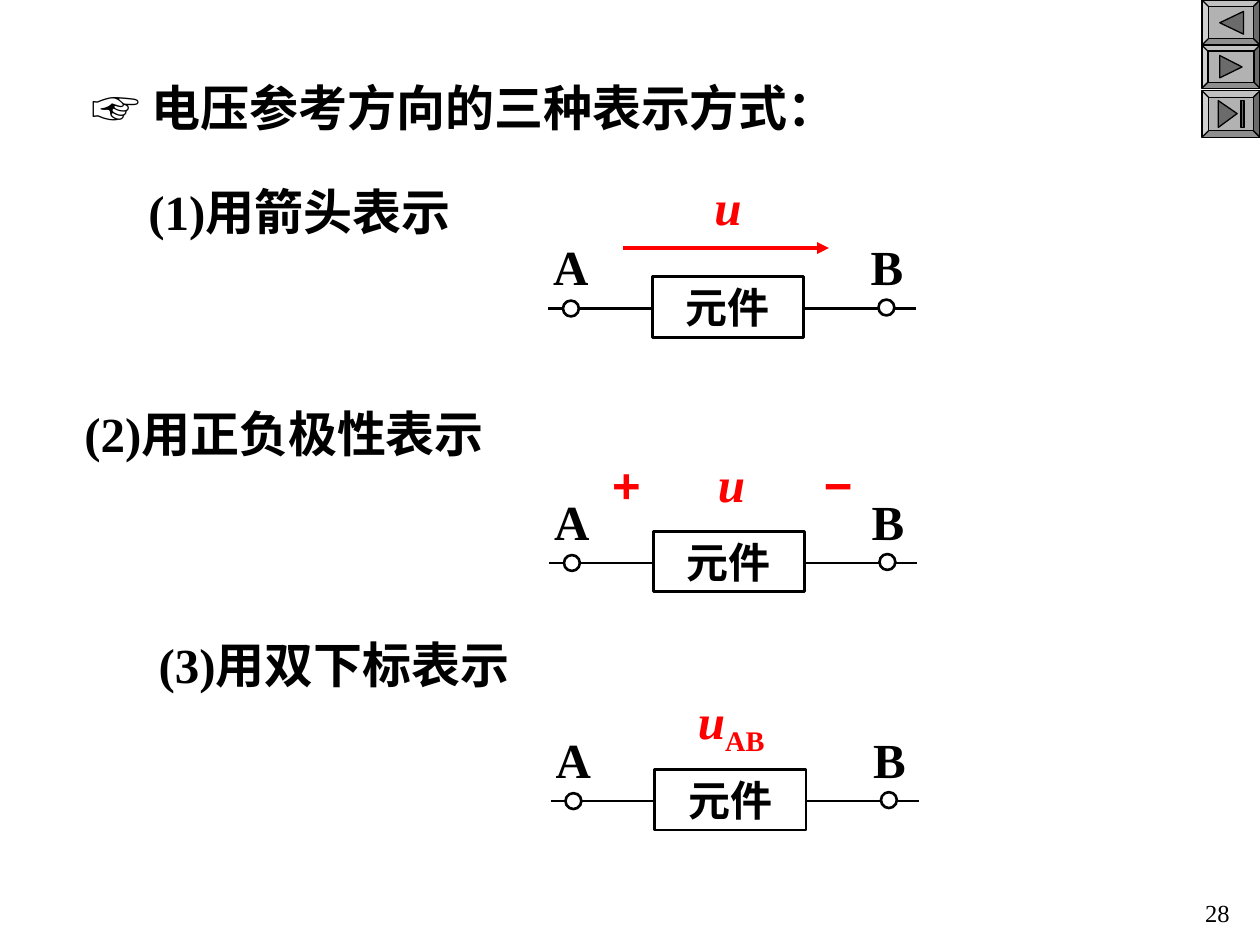
from pptx import Presentation
from pptx.dml.color import RGBColor
from pptx.enum.shapes import MSO_CONNECTOR, MSO_SHAPE as SHAPE
from pptx.enum.text import MSO_ANCHOR as ANCHOR, MSO_AUTO_SIZE, PP_ALIGN as ALIGN
from pptx.oxml.ns import qn
from pptx.util import Cm, Pt
from lxml.etree import SubElement

BLACK, WHITE, RED = "000000", "FFFFFF", "FF0000"
GREY, DARK_GREY = "B2B2B2", "6B6B6B"
SERIF, SANS = "Times New Roman", "Arial"
TEXT_H = 1.45


def color(hex_code):
    return RGBColor.from_string(hex_code)


def add_run(p, text, size=28, font=SERIF, fill=BLACK, bold=True, italic=False,
            subscript=False):
    r = p.add_run()
    r.text = text
    r.font.size, r.font.name = Pt(size), font
    r.font.bold, r.font.italic = bold, italic
    r.font.color.rgb = color(fill)
    if subscript:
        r.font._element.set("baseline", "-25000")


def format_frame(tf, anchor=ANCHOR.TOP, align=ALIGN.LEFT, wrap=True, inset=(0.25, 0.13)):
    """Set up the text frame and return its first paragraph."""
    tf.word_wrap = wrap
    tf.auto_size = MSO_AUTO_SIZE.NONE
    tf.vertical_anchor = anchor
    tf.margin_left = tf.margin_right = Cm(inset[0])
    tf.margin_top = tf.margin_bottom = Cm(inset[1])
    p = tf.paragraphs[0]
    p.alignment = align
    return p


def add_text(shapes, x, y, w, h=TEXT_H, **frame):
    """Add an empty text box and return its paragraph."""
    tb = shapes.add_textbox(Cm(x), Cm(y), Cm(w), Cm(h))
    return format_frame(tb.text_frame, **frame)


def add_label(shapes, text, x, y, w, **style):
    add_run(add_text(shapes, x, y, w, wrap=False), text, **style)


def style_shape(sp, fill, width):
    sp.shadow.inherit = False
    sp.fill.solid()
    sp.fill.fore_color.rgb = color(fill)
    sp.line.color.rgb = color(BLACK)
    sp.line.width = Pt(width)


def add_shape(shapes, kind, x, y, w, h, fill=WHITE, width=1.5):
    sp = shapes.add_shape(kind, Cm(x), Cm(y), Cm(w), Cm(h))
    style_shape(sp, fill, width)
    return sp


def add_line(shapes, x1, x2, y, stroke=BLACK, width=1.5, arrow=False):
    line = shapes.add_connector(MSO_CONNECTOR.STRAIGHT, Cm(x1), Cm(y), Cm(x2), Cm(y))
    line.line.color.rgb = color(stroke)
    line.line.width = Pt(width)
    if arrow:
        SubElement(line.line._get_or_add_ln(), qn("a:tailEnd"), type="triangle")
    SubElement(line._element.spPr, qn("a:effectLst"))


def add_circuit(s, x, y):
    """Draw element between terminals A and B on a wire starting at x, y."""
    shapes = s.shapes.add_group_shape().shapes
    add_line(shapes, x, x + 7.42, y)
    for name, dot_x, dot_y, text_x, text_w in (("A", 0.3, -0.16, -0.15, 1.22),
                                               ("B", 6.66, -0.18, 6.25, 1.17)):
        add_shape(shapes, SHAPE.OVAL, x + dot_x, y + dot_y, 0.32, 0.32)
        add_label(shapes, name, x + text_x, y - 1.58, text_w)
    box = add_shape(shapes, SHAPE.RECTANGLE, x + 2.1, y - 0.64, 3.05, 1.22)
    p = format_frame(box.text_frame, align=ALIGN.CENTER, inset=(0.46, 0.1))
    add_run(p, "元件", size=24)
    return shapes


def add_nav_button(shapes, y, h, triangle):
    bevel = add_shape(shapes, SHAPE.BEVEL, 24.23, y, 1.17, h, GREY, 0.75)
    bevel.adjustments[0] = 0.14
    points = [(Cm(px), Cm(py)) for px, py in triangle]
    builder = shapes.build_freeform(*points[0])
    builder.add_line_segments(points[1:], close=True)
    style_shape(builder.convert_to_shape(), DARK_GREY, 0.75)


def add_navigation(shapes):
    add_nav_button(shapes, 0, 0.91, [(24.59, 0.46), (25.07, 0.23), (25.07, 0.69)])
    add_nav_button(shapes, 0.91, 0.87, [(24.59, 1.12), (25.04, 1.35), (24.59, 1.57)])
    add_nav_button(shapes, 1.83, 0.94, [(24.94, 2.29), (24.56, 2.57), (24.56, 2.03)])
    add_shape(shapes, SHAPE.RECTANGLE, 25.02, 2.03, 0.06, 0.54, DARK_GREY, 0.75)


def add_title(s):
    title = s.shapes.title
    title.left, title.top = Cm(1.6), Cm(1.42)
    title.width, title.height = Cm(16.36), Cm(TEXT_H)
    p = format_frame(title.text_frame, anchor=ANCHOR.MIDDLE)
    add_run(p, "☞", font=SANS)
    add_run(p, " 电压参考方向的三种表示方式：")


def main():
    prs = Presentation()
    prs.slide_width, prs.slide_height = Cm(25.4), Cm(19.05)
    s = prs.slides.add_slide(prs.slide_layouts[5])
    add_navigation(s.shapes)
    add_title(s)

    for text, x, y, w in (("(1)用箭头表示", 2.74, 3.53, 8.61),
                          ("(2)用正负极性表示", 1.45, 8, 11.2),
                          ("(3)用双下标表示", 2.95, 12.65, 10.03)):
        add_run(add_text(s.shapes, x, y, w, anchor=ANCHOR.MIDDLE), text)

    arrow = add_circuit(s, 11.05, 6.22)
    add_label(arrow, "u", 14.15, 3.43, 1.04, fill=RED, italic=True)
    add_line(arrow, 12.55, 16.71, 5, RED, 2.25, arrow=True)

    polarity = add_circuit(s, 11.07, 11.35)
    add_label(polarity, "+", 12.09, 9.04, 1.07, font=SANS, fill=RED)
    add_label(polarity, "−", 16.36, 9.04, 0.84, font=SANS, fill=RED)
    add_label(polarity, "u", 14.22, 9.02, 1.04, fill=RED, italic=True)

    subscript = add_circuit(s, 11.1, 16.15)
    p = add_text(subscript, 13.82, 13.79, 1.85, 1.6, wrap=False)
    add_run(p, "u", fill=RED, italic=True)
    add_run(p, "AB", fill=RED, subscript=True)

    p = add_text(s.shapes, 19.76, 17.98, 5.28, 1.02, align=ALIGN.RIGHT)
    add_run(p, "28", size=14, bold=False)
    prs.save("out.pptx")


if __name__ == "__main__":
    main()
